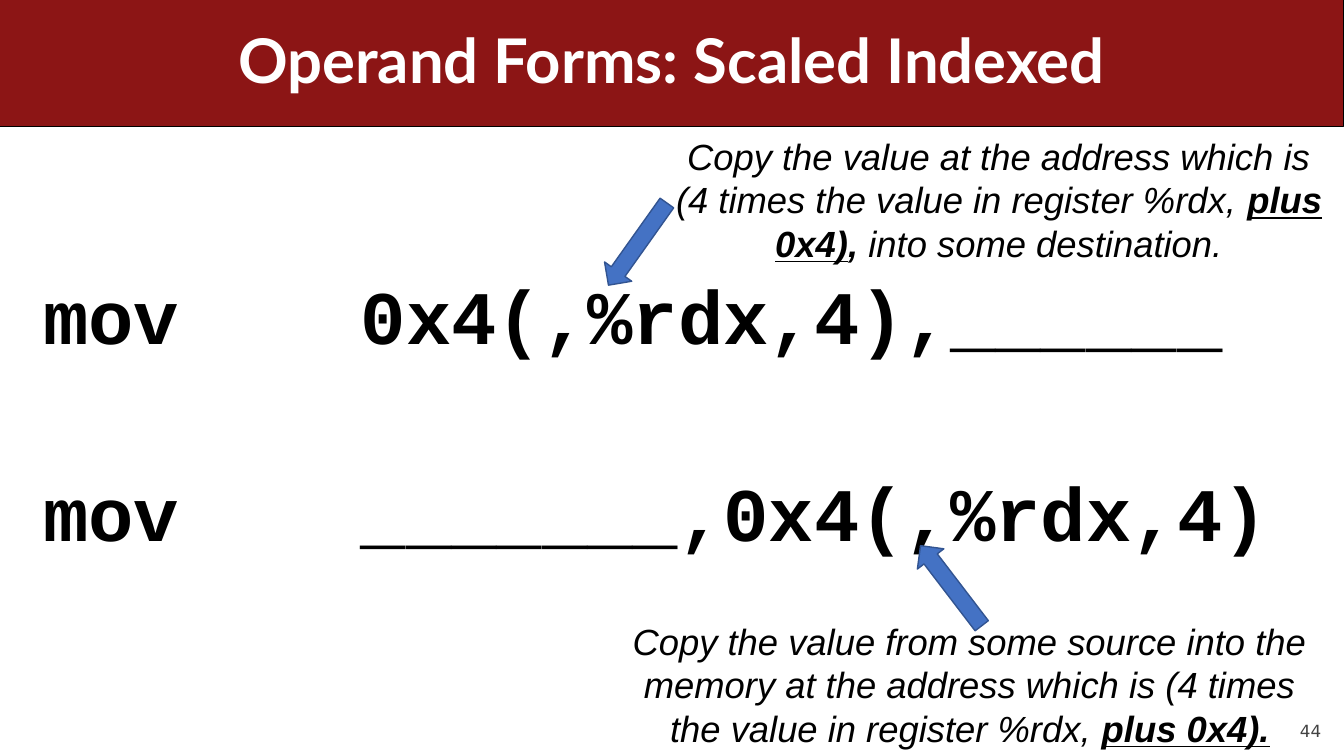
from lxml import etree
from pptx import Presentation
from pptx import util as u
from pptx.dml.color import RGBColor
from pptx.enum import shapes, text
from pptx.oxml.ns import qn

CENTER, RIGHT = text.PP_ALIGN.CENTER, text.PP_ALIGN.RIGHT
PLUS = {"bold": True, "underline": True}


def color(hex_value):
    """Turn a hex string into a colour."""
    return RGBColor.from_string(hex_value)


def set_all(target, values):
    """Set every attribute named in a dict of format values."""
    for name, value in values.items():
        setattr(target, name, value)


def add_text(slide, box, paragraphs, font, hue, spacing, anchor="TOP", inset=0.25):
    """Add a wrapped text box; each paragraph is a list of (words, format) runs."""
    frame = slide.shapes.add_textbox(*map(u.Cm, box)).text_frame
    set_all(frame, {
        "word_wrap": True,
        "vertical_anchor": getattr(text.MSO_ANCHOR, anchor),
        "margin_left": u.Cm(inset), "margin_right": u.Cm(inset),
        "margin_top": u.Cm(inset / 2), "margin_bottom": u.Cm(inset / 2),
    })
    for index, runs in enumerate(paragraphs):
        paragraph = frame.add_paragraph() if index else frame.paragraphs[0]
        set_all(paragraph, spacing)
        for words, extra in runs:
            run = paragraph.add_run()
            run.text = words
            set_all(run.font, {**font, **extra})
            run.font.color.rgb = color(hue)
    return frame


def add_block(slide, kind, box, fill, outline, width, rotation=0):
    """Add a filled and outlined preset shape."""
    block = slide.shapes.add_shape(kind, *map(u.Cm, box))
    block.rotation = rotation
    block.shadow.inherit = False
    block.fill.solid()
    block.fill.fore_color.rgb = color(fill)
    block.line.color.rgb = color(outline)
    block.line.width = u.Pt(width)


def add_title(slide, words):
    """Add the header bar with its title."""
    add_block(slide, shapes.MSO_SHAPE.RECTANGLE, (0, 0, 33.87, 3.18), "8C1515", "000000", 0.75)
    add_text(slide, (1.27, 0, 31.33, 3.18), [[(words, {})]],
             {"name": "Lato", "size": u.Pt(44), "bold": True}, "FFFFFF",
             {"alignment": CENTER, "line_spacing": 0.9}, "MIDDLE")


def add_instructions(slide, instructions):
    """Add the assembly lines, with operands aligned at a tab stop."""
    frame = add_text(slide, (0.84, 6.15, 32.18, 8.79),
                     [[("\t".join(parts), {})] for parts in instructions],
                     {"name": "Courier New", "size": u.Pt(54), "bold": True}, "000000",
                     {"line_spacing": 0.9, "space_before": u.Pt(10)}, "MIDDLE")
    for paragraph in frame.paragraphs[1:]:
        paragraph.space_before = u.Pt(82)
    for paragraph in frame.paragraphs:
        stops = etree.SubElement(paragraph._p.get_or_add_pPr(), qn("a:tabLst"))
        etree.SubElement(stops, qn("a:tab"), pos=str(u.Cm(8)), algn="l")


def add_explanation(slide, box, runs, arrow_at, rotation):
    """Add an italic explanation and the arrow to its operand."""
    add_block(slide, shapes.MSO_SHAPE.UP_ARROW, (*arrow_at, 0.84, 2.54),
              "4472C4", "325491", 1, rotation)
    add_text(slide, box, [runs], {"name": "Arial", "size": u.Pt(26), "italic": True},
             "000000", {"alignment": CENTER})


def add_page_number(slide, number):
    """Add the page number in the lower right corner."""
    add_text(slide, (30.48, 17.65, 2.82, 1.02), [[(number, {})]],
             {"name": "DejaVu Sans", "size": u.Pt(12)}, "424242",
             {"alignment": RIGHT, "space_before": u.Pt(5)}, "BOTTOM", 0)


def main():
    """Build the slide on operand forms."""
    deck = Presentation()
    set_all(deck, {"slide_width": u.Cm(33.87), "slide_height": u.Cm(19.05)})
    slide = deck.slides.add_slide(deck.slide_layouts[6])
    add_page_number(slide, "44")
    add_title(slide, "Operand Forms: Scaled Indexed")
    add_instructions(slide, [("mov", "0x4(,%rdx,4),______"), ("mov", "_______,0x4(,%rdx,4)")])
    add_explanation(slide, (16.71, 3.25, 16.94, 3.58), [
        ("Copy the value at the address which is (4 times the value in register %rdx, ", {}),
        ("plus 0x4)", PLUS),
        (",", {"bold": True}),
        (" into some destination.", {}),
    ], (15.65, 4.88), 215.4)
    add_explanation(slide, (15.67, 15.47, 17.55, 3.58), [
        ("Copy the value from some source into the memory at the address which is "
         "(4 times the value in register %rdx, ", {}),
        ("plus 0x4).", PLUS),
    ], (23.55, 13.49), 322.6)
    deck.save("out.pptx")


if __name__ == "__main__":
    main()
